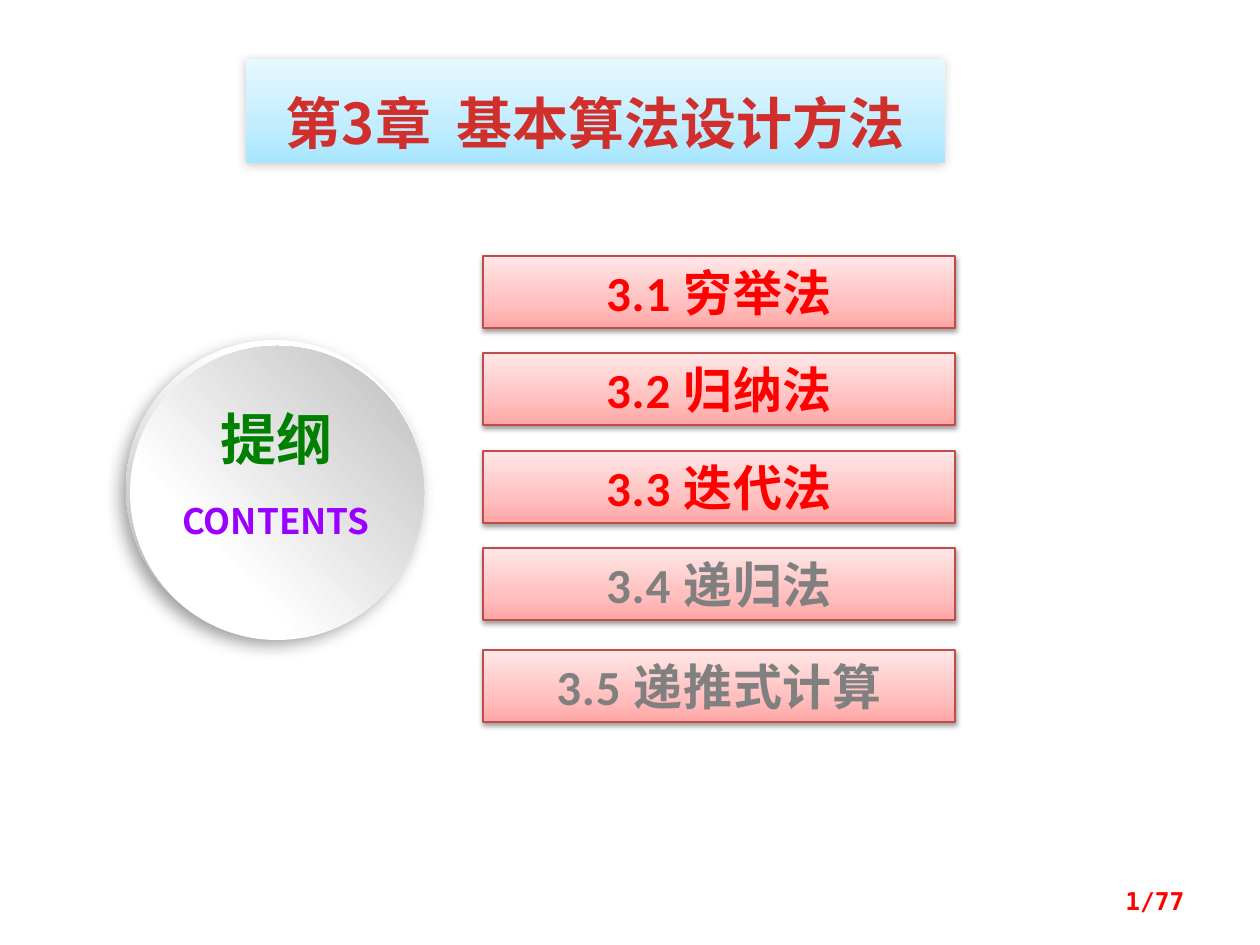
from dataclasses import dataclass
from typing import NamedTuple, Optional

from lxml import etree
from pptx import Presentation
from pptx import util as u
from pptx.dml.color import RGBColor
from pptx.enum import shapes, text
from pptx.oxml import ns

SCALE = u.Inches(1) / 126


class Area(NamedTuple):
    left: int
    top: int
    width: int
    height: int


class Gradient(NamedTuple):
    stops: tuple
    angle: int


class Shadow(NamedTuple):
    opacity: int
    blur: float
    distance: float
    angle: int


class Topic(NamedTuple):
    label: str
    top: int
    covered: bool


@dataclass(frozen=True)
class Theme:
    cjk: str = "Noto Sans CJK SC"
    latin: str = "Calibri"
    mono: str = "DejaVu Sans Mono"
    title: str = "D02F2C"
    active: str = "FF0000"
    muted: str = "808080"
    outline: str = "004C99"
    green: str = "008000"
    violet: str = "9900FF"
    border: str = "BF4C48"
    title_size: int = 32
    topic_size: int = 28
    caption_size: int = 20
    page_size: int = 14
    title_fill: Gradient = Gradient(((0, "A7E6FF"), (35, "C1EDFF"), (100, "E7F8FF")), 270)
    topic_fill: Gradient = Gradient(((0, "FFA6A5"), (35, "FFC0BF"), (100, "FFE7E7")), 270)
    rim_fill: Gradient = Gradient(((17, "FFFFFF"), (88, "B8B8B8")), 107)
    disc_fill: Gradient = Gradient(((29, "FFFFFF"), (98, "BFBFBF")), 318)
    title_shadow: Shadow = Shadow(20, 6, 1, 135)
    topic_shadow: Shadow = Shadow(38, 3.1, 1.6, 90)
    rim_shadow: Shadow = Shadow(39, 10, 5, 123)


THEME = Theme()
TOPICS = (
    Topic("3.1 穷举法", 256, True),
    Topic("3.2 归纳法", 353, True),
    Topic("3.3 迭代法", 451, True),
    Topic("3.4 递归法", 548, False),
    Topic("3.5 递推式计算", 650, False),
)


def px(length: float) -> int:
    return round(length * SCALE)


def add_node(parent, tag: str, **attributes):
    return etree.SubElement(parent, ns.qn(tag), {key: str(value) for key, value in attributes.items()})


def fill_gradient(shape, gradient: Gradient) -> None:
    shape.fill.gradient()
    node = shape._element.spPr.find(ns.qn("a:gradFill"))
    for child in list(node):
        node.remove(child)
    stops = add_node(node, "a:gsLst")
    for position, color in gradient.stops:
        stop = add_node(stops, "a:gs", pos=position * 1000)
        add_node(stop, "a:srgbClr", val=color)
    add_node(node, "a:lin", ang=gradient.angle * 60000, scaled=0)


def add_shadow(shape, shadow: Shadow) -> None:
    effects = shape._element.spPr.find(ns.qn("a:effectLst"))
    outer = add_node(effects, "a:outerShdw", blurRad=u.Pt(shadow.blur), dist=u.Pt(shadow.distance),
                     dir=shadow.angle * 60000, algn="ctr", rotWithShape=0)
    color = add_node(outer, "a:srgbClr", val="000000")
    add_node(color, "a:alpha", val=shadow.opacity * 1000)


def draw_shape(page, kind, area: Area, gradient: Gradient,
               shadow: Optional[Shadow] = None, border: Optional[str] = None):
    shape = page.shapes.add_shape(kind, *map(px, area))
    shape.shadow.inherit = False
    fill_gradient(shape, gradient)
    if border:
        shape.line.color.rgb = RGBColor.from_string(border)
        shape.line.width = u.Pt(0.75)
    else:
        shape.line.fill.background()
    if shadow:
        add_shadow(shape, shadow)
    return shape


def write(box, content: str, *, size: int, color: str, font: str = THEME.cjk,
          align=text.PP_ALIGN.CENTER, anchor=text.MSO_ANCHOR.TOP,
          inset_top: int = 6, spacing: float = 0) -> None:
    frame = box.text_frame
    frame.word_wrap = True
    frame.vertical_anchor = anchor
    frame.margin_top = px(inset_top)
    para = frame.paragraphs[0]
    para.alignment = align
    span = para.add_run()
    span.text = content
    span.font.size = u.Pt(size)
    span.font.bold = True
    span.font.name = font
    span.font.color.rgb = RGBColor.from_string(color)
    properties = span.font._element
    add_node(properties, "a:ea", typeface=THEME.cjk)
    if spacing:
        properties.set("spc", str(round(spacing * 100)))


def draw_text(page, area: Area, content: str, **style) -> None:
    write(page.shapes.add_textbox(*map(px, area)), content, **style)


def draw_topic(page, topic: Topic) -> None:
    bar = draw_shape(page, shapes.MSO_SHAPE.RECTANGLE, Area(483, topic.top, 472, 72),
                     THEME.topic_fill, THEME.topic_shadow, THEME.border)
    write(bar, topic.label, size=THEME.topic_size, font=THEME.latin, spacing=0.5,
          color=THEME.active if topic.covered else THEME.muted)


def draw_badge(page) -> None:
    oval = shapes.MSO_SHAPE.OVAL
    draw_shape(page, oval, Area(126, 340, 297, 297), THEME.rim_fill, THEME.rim_shadow)
    draw_shape(page, oval, Area(130, 346, 294, 294), THEME.disc_fill)
    draw_text(page, Area(160, 493, 232, 55), "CONTENTS", size=THEME.caption_size, color=THEME.violet)
    draw_text(page, Area(180, 399, 194, 81), "提纲", size=THEME.title_size, color=THEME.green)


def main() -> None:
    deck = Presentation()
    deck.slide_width, deck.slide_height = px(1260), px(945)
    page = deck.slides.add_slide(deck.slide_layouts[6])
    banner = draw_shape(page, shapes.MSO_SHAPE.RECTANGLE, Area(246, 59, 699, 104),
                        THEME.title_fill, THEME.title_shadow)
    write(banner, "第3章  基本算法设计方法", size=THEME.title_size, color=THEME.title, inset_top=30)
    draw_badge(page)
    for topic in TOPICS:
        draw_topic(page, topic)
    draw_text(page, Area(903, 876, 294, 50), "1/77", size=THEME.page_size, color=THEME.active,
              font=THEME.mono, align=text.PP_ALIGN.RIGHT, anchor=text.MSO_ANCHOR.MIDDLE)
    deck.save("out.pptx")


main()
